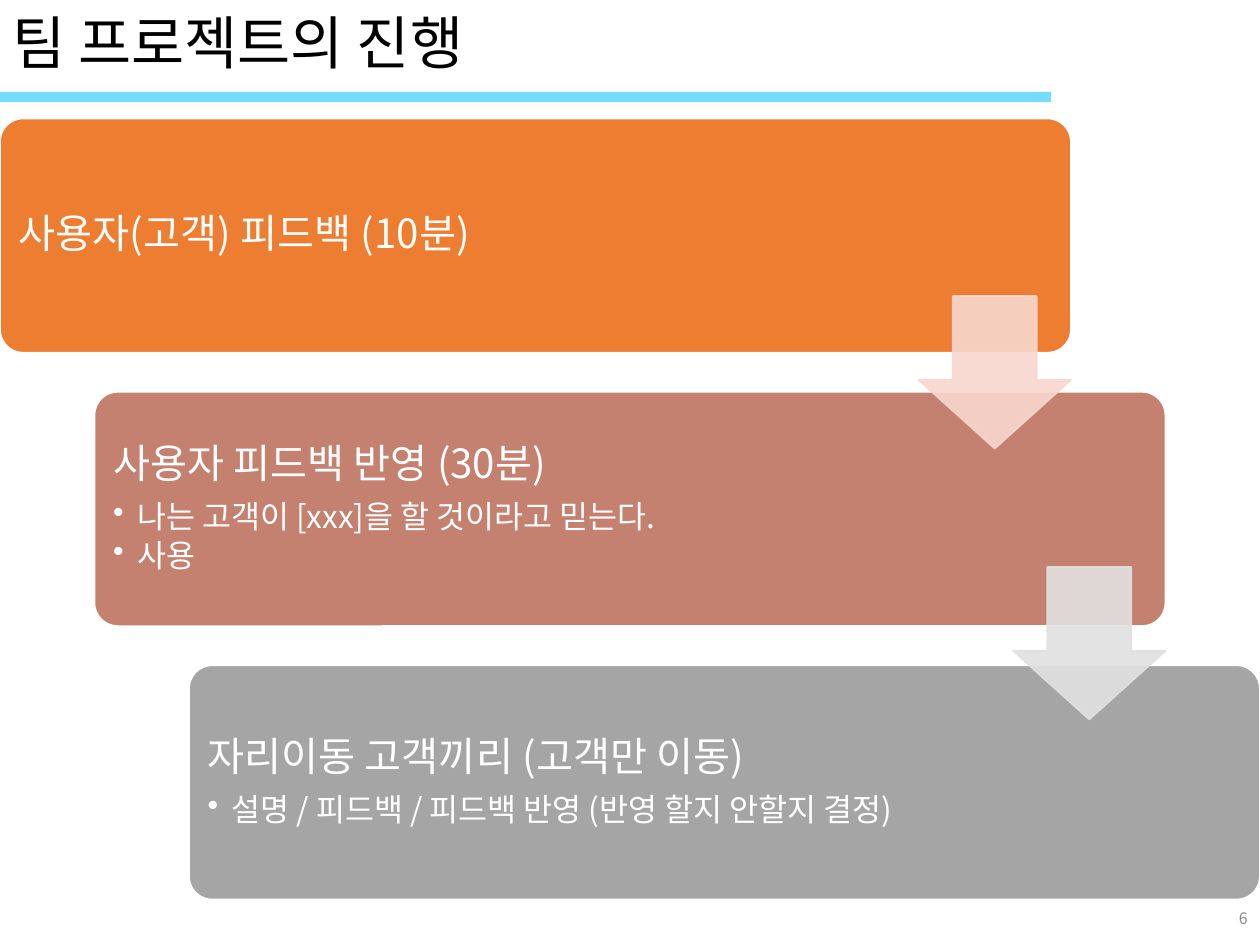
import pptx
import pptx.util
import pptx.dml.color
import pptx.enum.shapes
import pptx.enum.text
import pptx.oxml.ns
from lxml import etree

FONT = "Noto Sans CJK KR"
TITLE = "팀 프로젝트의 진행"
STEPS = [
    ("사용자(고객) 피드백 (10분)", [], "ED7D31"),
    ("사용자 피드백 반영 (30분)",
     ["나는 고객이 [xxx]을 할 것이라고 믿는다.", "사용"], "C48170"),
    ("자리이동 고객끼리 (고객만 이동)",
     ["설명 / 피드백 / 피드백 반영 (반영 할지 안할지 결정)"], "A5A5A5"),
]
ARROWS = ["F8D7CE", "E1E1E1"]
HEAD = dict(size=23, space=8)
BULLET = dict(size=18, space=2.7, bullet=True)

W, H = 10, 7.5
CARD_W, CARD_H, TOP = 0.85 * W, 1.86, 0.94
STEP_X, STEP_Y = (W - CARD_W) / 2, 2.17
PAD, ARROW = 0.05, 1.21

SHAPE = pptx.enum.shapes.MSO_SHAPE
ALIGN = pptx.enum.text.PP_ALIGN
Pt = pptx.util.Pt
qn = pptx.oxml.ns.qn

prs = pptx.Presentation()
prs.slide_width, prs.slide_height = pptx.util.Inches(W), pptx.util.Inches(H)
s = prs.slides.add_slide(prs.slide_layouts[6])


def rgb(color):
    return pptx.dml.color.RGBColor.from_string(color)


def inches(*lengths):
    return [pptx.util.Inches(round(v, 2)) for v in lengths]


def add_box(kind, at, fill, line=None, adj=(), alpha=None):
    sp = s.shapes.add_shape(kind, *inches(*at))
    sp.shadow.inherit = False
    sp.fill.solid()
    sp.fill.fore_color.rgb = rgb(fill)
    if line:
        sp.line.color.rgb = rgb(line)
        sp.line.width = Pt(1)
    else:
        sp.line.fill.background()
    for i, value in enumerate(adj):
        sp.adjustments[i] = value
    if alpha:
        for clr in sp._element.spPr.iter(qn("a:srgbClr")):
            etree.SubElement(clr, qn("a:alpha"), val=str(alpha * 1000))


def add_text(at, paragraphs, color, margins=(0.1, 0.1), align=ALIGN.LEFT):
    tf = s.shapes.add_textbox(*inches(*at)).text_frame
    x, y = inches(*margins)
    frame = dict(word_wrap=True, margin_left=x, margin_right=x, margin_top=y,
                 margin_bottom=y,
                 vertical_anchor=pptx.enum.text.MSO_ANCHOR.MIDDLE)
    for name, value in frame.items():
        setattr(tf, name, value)
    for i, (text, style) in enumerate(paragraphs):
        p = tf.add_paragraph() if i else tf.paragraphs[0]
        formats = dict(alignment=align, line_spacing=0.9,
                       space_after=Pt(style.get("space", 0)))
        for name, value in formats.items():
            setattr(p, name, value)
        if style.get("bullet"):
            pPr = p._p.get_or_add_pPr()
            indent = inches(0.19)[0]
            pPr.set("marL", str(indent))
            pPr.set("indent", str(-indent))
            etree.SubElement(pPr, qn("a:buChar"), char="•")
        r = p.add_run()
        r.text = text
        r.font.name = FONT
        r.font.size = Pt(style["size"])
        r.font.color.rgb = rgb(color)
        etree.SubElement(r.font._element, qn("a:ea"), typeface=FONT)


add_box(SHAPE.RECTANGLE, (0, 0.73, 8.34, 0.08), "75DBFF")
add_text((0, 0, W, 0.72), [(TITLE, dict(size=33))], "000000", (0.1, 0.05))
add_text((7.75, 7.1, 2.25, 0.4), [("6", dict(size=9))], "8C8C8C",
         (0.1, 0.05), ALIGN.RIGHT)

for i, (head, bullets, color) in enumerate(STEPS):
    x, y = i * STEP_X, TOP + i * STEP_Y
    add_box(SHAPE.ROUNDED_RECTANGLE, (x, y, CARD_W, CARD_H), color,
            "FFFFFF", (0.1,))
    add_text((x + PAD, y + PAD, 6.45, CARD_H - 2 * PAD),
             [(head, HEAD)] + [(b, BULLET) for b in bullets], "FFFFFF")

for i, color in enumerate(ARROWS):
    at = (CARD_W - ARROW + i * STEP_X, 2.35 + i * 2.15, ARROW, ARROW)
    add_box(SHAPE.DOWN_ARROW, at, color, color, (0.55, 0.45), 90)

prs.save("out.pptx")
